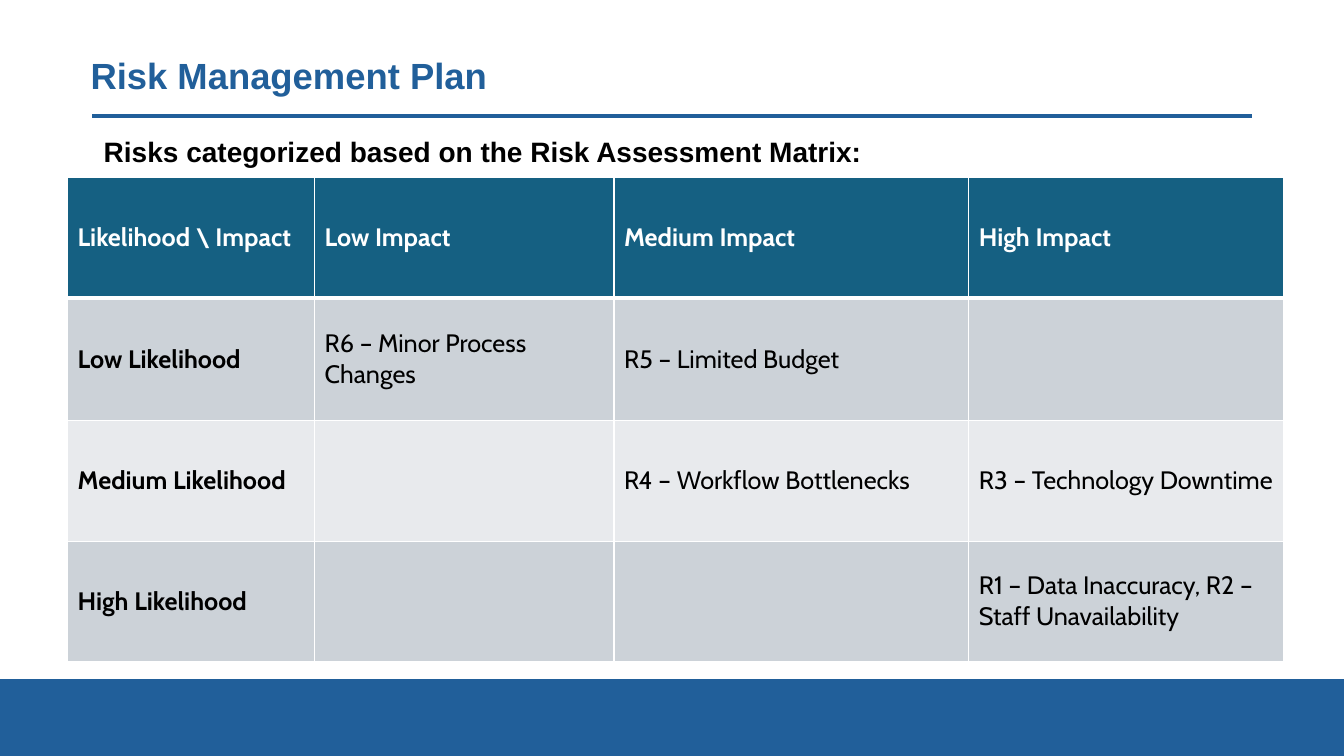
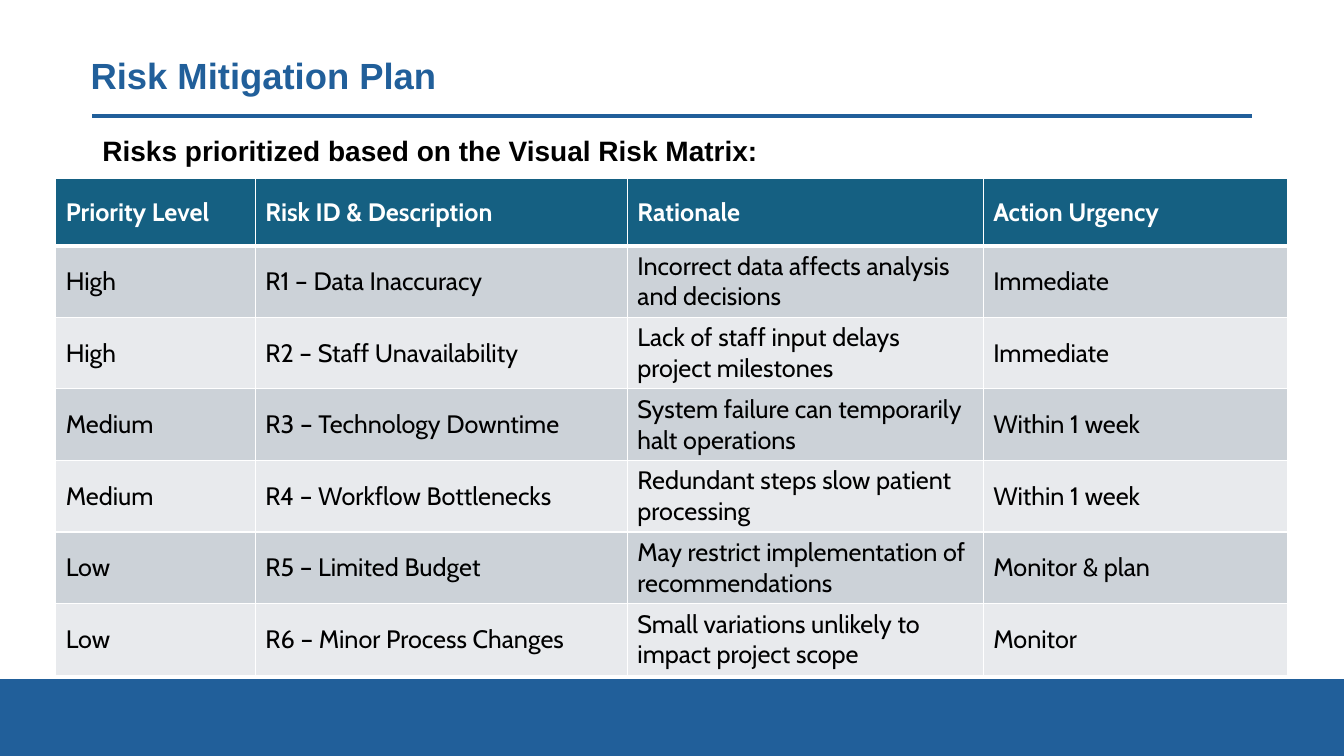
"""Build two risk planning slides, each a titled table above a blue band."""
from dataclasses import dataclass

from lxml import etree
from pptx import Presentation
from pptx.dml.color import RGBColor
from pptx.enum.shapes import MSO_CONNECTOR, MSO_SHAPE
from pptx.enum.text import MSO_ANCHOR
from pptx.oxml.ns import qn
from pptx.util import Inches, Pt

RECT = MSO_SHAPE.RECTANGLE
STRAIGHT = MSO_CONNECTOR.STRAIGHT
TOP, MIDDLE = MSO_ANCHOR.TOP, MSO_ANCHOR.MIDDLE
WIDTH, HEIGHT = Inches(13.333), Inches(7.5)


@dataclass(frozen=True)
class Theme:
    blue: str = "215F9A"
    header: str = "156082"
    odd: str = "CCD2D8"
    even: str = "E8EAED"
    white: str = "FFFFFF"
    black: str = "000000"
    heading_font: str = "Arial"
    table_font: str = "Cabin"
    title_size: int = 26
    subtitle_size: int = 20
    table_size: int = 18
    grid_line: int = 1
    header_line: int = 3


THEME = Theme()

MATRIX = [
    ["Likelihood \\ Impact", "Low Impact", "Medium Impact", "High Impact"],
    ["Low Likelihood", "R6 – Minor Process Changes", "R5 – Limited Budget", ""],
    ["Medium Likelihood", "", "R4 – Workflow Bottlenecks", "R3 – Technology Downtime"],
    ["High Likelihood", "", "", "R1 – Data Inaccuracy, R2 – Staff Unavailability"],
]

PRIORITIES = [
    ["Priority Level", "Risk ID & Description", "Rationale", "Action Urgency"],
    ["High", "R1 – Data Inaccuracy", "Incorrect data affects analysis and decisions", "Immediate"],
    ["High", "R2 – Staff Unavailability", "Lack of staff input delays project milestones", "Immediate"],
    ["Medium", "R3 – Technology Downtime", "System failure can temporarily halt operations", "Within 1 week"],
    ["Medium", "R4 – Workflow Bottlenecks", "Redundant steps slow patient processing", "Within 1 week"],
    ["Low", "R5 – Limited Budget", "May restrict implementation of recommendations", "Monitor & plan"],
    ["Low", "R6 – Minor Process Changes", "Small variations unlikely to impact project scope", "Monitor"],
]


def across(percent):
    """Return a percentage of the slide width."""
    return round(WIDTH * percent / 100)


def down(percent):
    """Return a percentage of the slide height."""
    return round(HEIGHT * percent / 100)


def rgb(color):
    """Return the colour object for a hex string."""
    return RGBColor.from_string(color)


def format_runs(p, font, size, color, bold):
    """Apply one character style to every run of a paragraph."""
    for r in p.runs:
        r.font.name = font
        r.font.size = Pt(size)
        r.font.color.rgb = rgb(color)
        r.font.bold = bold


def add_heading(s, text, left, top, height, size, color, anchor):
    """Add a bold one-line heading."""
    sp = s.shapes.add_textbox(across(left), down(top), across(86.25), down(height))
    tf = sp.text_frame
    tf.word_wrap = True
    tf.vertical_anchor = anchor
    tf.text = text
    p = tf.paragraphs[0]
    p.line_spacing = 0.9
    format_runs(p, THEME.heading_font, size, color, True)


def add_band(s):
    """Add the blue band along the foot of the slide."""
    sp = s.shapes.add_shape(RECT, 0, down(90), WIDTH, down(10))
    sp.shadow.inherit = False
    sp.fill.solid()
    sp.fill.fore_color.rgb = rgb(THEME.blue)
    sp.line.color.rgb = rgb(THEME.blue)
    sp.line.width = Pt(1.5)


def add_rule(s):
    """Add the line under the title."""
    y = down(15.33)
    rule = s.shapes.add_connector(STRAIGHT, across(6.88), y, across(93.13), y)
    rule.line.color.rgb = rgb(THEME.blue)
    rule.line.width = Pt(3)
    etree.SubElement(rule._element.spPr, qn("a:effectLst"))


def set_borders(cell, top, bottom):
    """Draw white cell borders, given the top and bottom widths in points."""
    tc_pr = cell._tc.get_or_add_tcPr()
    widths = {"L": THEME.grid_line, "R": THEME.grid_line, "T": top, "B": bottom}
    for side, width in widths.items():
        ln = etree.SubElement(tc_pr, qn(f"a:ln{side}"), w=str(Pt(width)))
        fill = etree.SubElement(ln, qn("a:solidFill"))
        etree.SubElement(fill, qn("a:srgbClr"), val=THEME.white)


def fill_cell(cell, text, row, bold):
    """Write and style one table cell according to its row."""
    header = row == 0
    thin, thick = THEME.grid_line, THEME.header_line
    set_borders(cell, thick if row == 1 else thin, thick if header else thin)
    cell.fill.solid()
    band = THEME.odd if row % 2 else THEME.even
    cell.fill.fore_color.rgb = rgb(THEME.header if header else band)
    cell.vertical_anchor = MIDDLE
    cell.text = text
    color = THEME.white if header else THEME.black
    format_runs(cell.text_frame.paragraphs[0], THEME.table_font, THEME.table_size, color, bold)


def add_grid(s, rows, left, top, col_widths, row_heights, bold_first=False):
    """Add a banded table with sizes in percent of the slide."""
    frame = s.shapes.add_table(len(rows), len(col_widths), across(left), down(top),
                               across(sum(col_widths)), down(sum(row_heights)))
    table = frame.table
    for column, width in zip(table.columns, col_widths):
        column.width = across(width)
    for i, (row, height) in enumerate(zip(rows, row_heights)):
        table.rows[i].height = down(height)
        for j, text in enumerate(row):
            fill_cell(table.cell(i, j), text, i, i == 0 or (bold_first and j == 0))


def add_slide(prs, title, subtitle, left, top):
    """Add a blank slide with the shared band, rule and headings."""
    s = prs.slides.add_slide(prs.slide_layouts[6])
    add_band(s)
    add_rule(s)
    add_heading(s, title, 6, 5.33, 10, THEME.title_size, THEME.blue, MIDDLE)
    add_heading(s, subtitle, left, top, 6.4, THEME.subtitle_size, THEME.black, TOP)
    return s


def main():
    """Build and save the presentation."""
    prs = Presentation()
    prs.slide_width, prs.slide_height = WIDTH, HEIGHT

    s = add_slide(prs, "Risk Management Plan",
                  "Risks categorized based on the Risk Assessment Matrix:", 6.98, 17.6)
    add_grid(s, MATRIX, 5.03, 23.53, [18.38, 22.28, 26.4, 23.45],
             [15.87, 16.2, 16, 15.87], bold_first=True)

    s = add_slide(prs, "Risk Mitigation Plan",
                  "Risks prioritized based on the Visual Risk Matrix:", 6.88, 17.5)
    add_grid(s, PRIORITIES, 4.15, 23.6, [14.85, 27.68, 26.48, 22.65],
             [8.9] + [9.47] * (len(PRIORITIES) - 1))

    prs.save("out.pptx")


if __name__ == "__main__":
    main()
